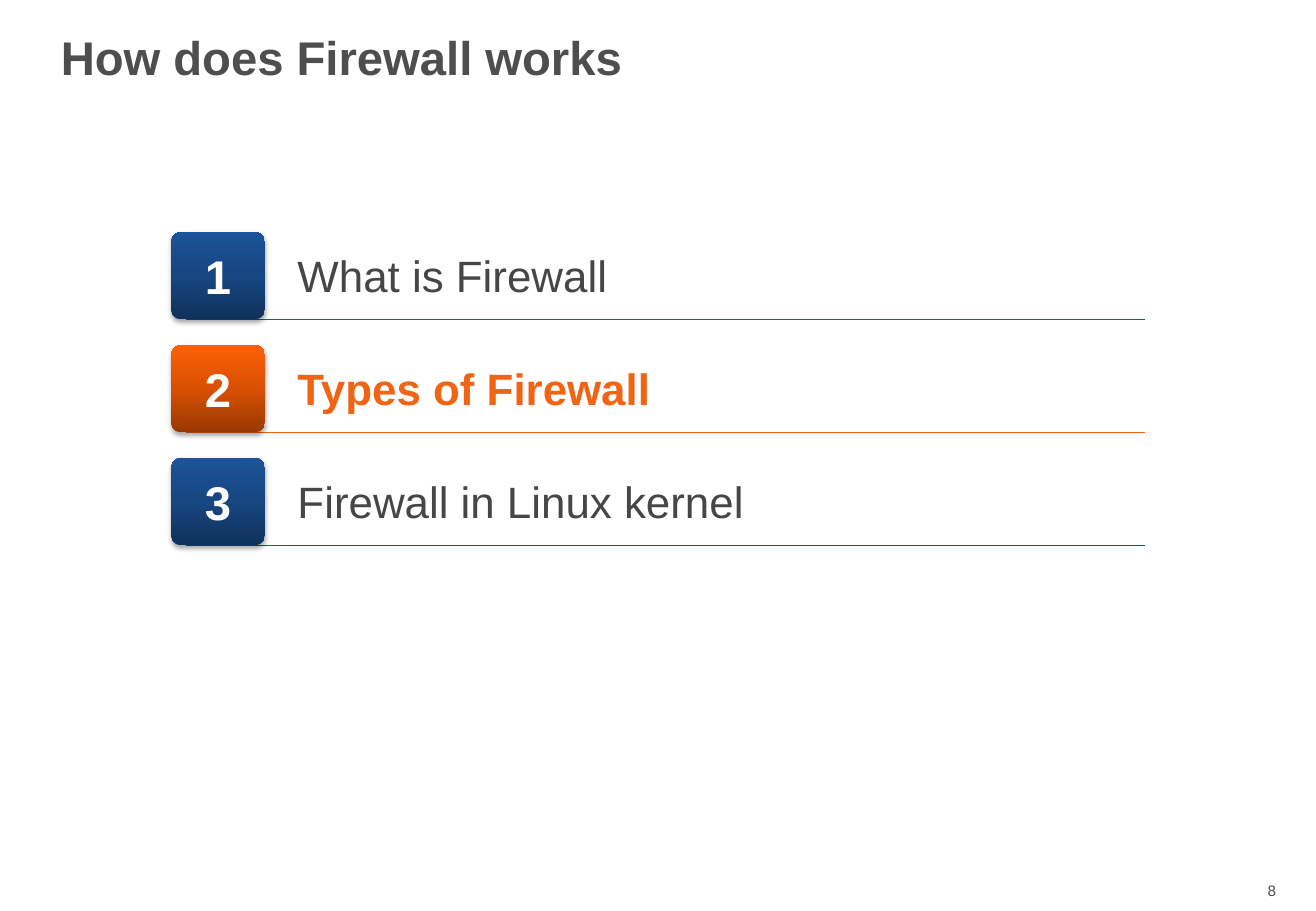
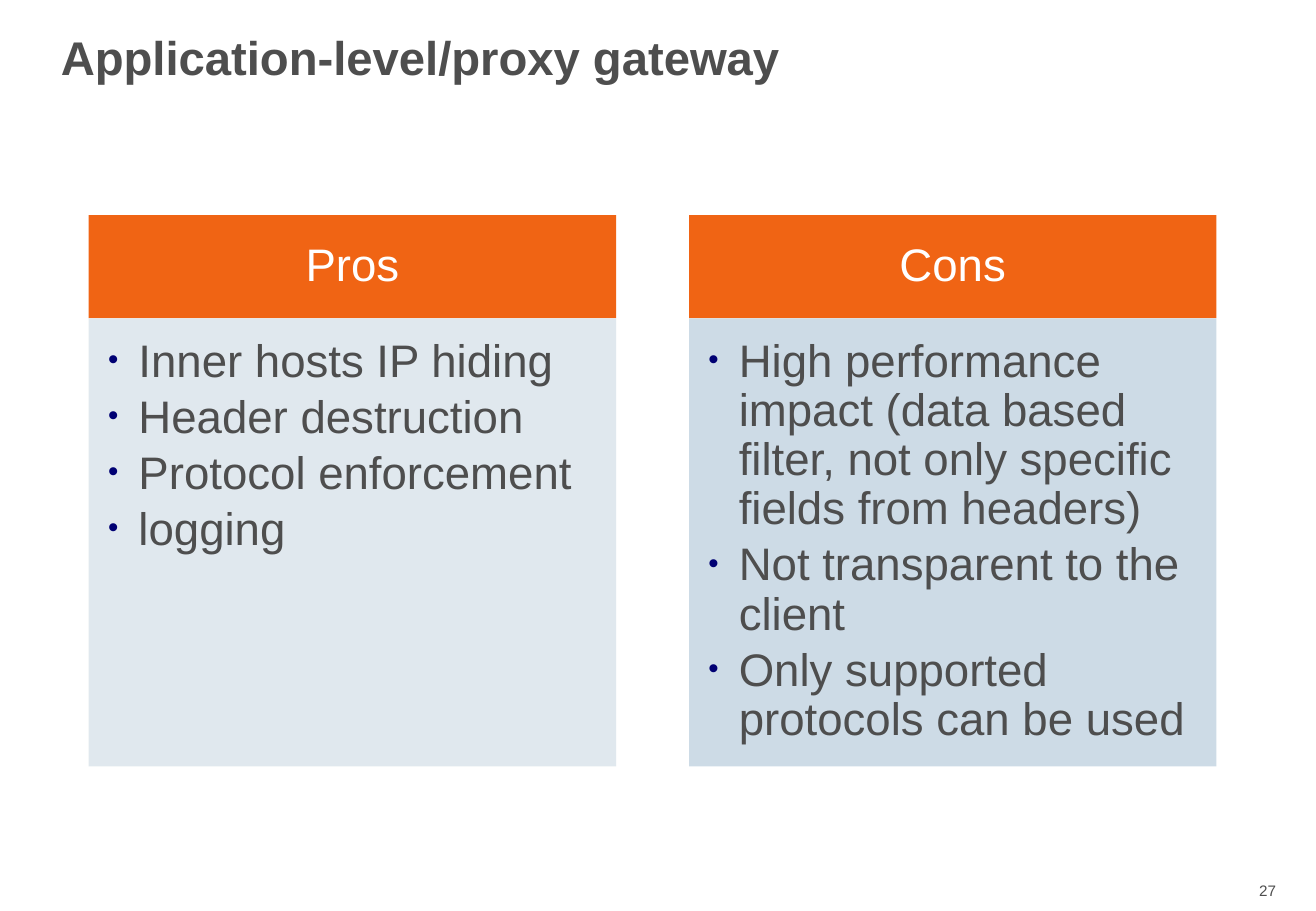
"""Build two firewall slides: an agenda and a comparison of pros and cons."""
from copy import deepcopy

from lxml import etree
from pptx import Presentation
from pptx.dml.color import RGBColor
from pptx.enum.shapes import MSO_CONNECTOR, MSO_SHAPE
from pptx.enum.text import MSO_ANCHOR, MSO_AUTO_SIZE, PP_ALIGN
from pptx.oxml.ns import qn
from pptx.util import Inches, Pt

LEFT, CENTER, RIGHT = PP_ALIGN.LEFT, PP_ALIGN.CENTER, PP_ALIGN.RIGHT
TOP, MIDDLE = MSO_ANCHOR.TOP, MSO_ANCHOR.MIDDLE
NO_AUTOFIT = MSO_AUTO_SIZE.NONE
ROUNDED, STRAIGHT = MSO_SHAPE.ROUNDED_RECTANGLE, MSO_CONNECTOR.STRAIGHT

FONT = "Arial"
COLORS = {
    "text": "4E4E4E",
    "label": "464646",
    "white": "FFFFFF",
    "black": "000000",
    "orange": "F06414",
    "blue": "245491",
    "bullet": "000073",
    "pros": "DDE6ED",
    "cons": "C8D8E4",
}
BADGE_GRADIENTS = {
    "blue": ("10315B", "174681", "1C5399"),
    "orange": ("983902", "D85003", "FF6005"),
}
TITLE_ONLY, COMPARISON = 5, 4

AGENDA = ("What is Firewall", "Types of Firewall", "Firewall in Linux kernel")
CURRENT = 2
ROW_TOP, ROW_PITCH, BADGE_HEIGHT = 1.91, 0.93, 0.72

PROS = ("Inner hosts IP hiding", "Header destruction", "Protocol enforcement", "logging")
CONS = (
    "High performance impact (data based filter, not only specific fields from headers)",
    "Not transparent to the client",
    "Only supported protocols can be used",
)
CARD_LEFT, CARD_PITCH, CARD_WIDTH = 0.73, 4.94, 4.34
HEAD_TOP, HEAD_HEIGHT, LIST_HEIGHT = 1.77, 0.85, 3.69


def rgb(name):
    """Return the named colour."""
    return RGBColor.from_string(COLORS[name])


def place(shape, left, top, width, height):
    """Set the position and size of a shape in inches."""
    shape.left, shape.top = Inches(left), Inches(top)
    shape.width, shape.height = Inches(width), Inches(height)


def set_frame(shape, anchor, margins=(0.1, 0.05, 0.1, 0.05)):
    """Format a text frame and return it."""
    frame = shape.text_frame
    frame.word_wrap = True
    frame.auto_size = NO_AUTOFIT
    frame.vertical_anchor = anchor
    frame.margin_left, frame.margin_top, frame.margin_right, frame.margin_bottom = map(
        Inches, margins)
    return frame


def write(para, text, size, color, bold=False, align=LEFT, spacing=1.0):
    """Add one formatted run to a paragraph."""
    para.alignment = align
    para.line_spacing = spacing
    para.space_before = Pt(0)
    span = para.add_run()
    span.text = text
    span.font.name = FONT
    span.font.size = Pt(size)
    span.font.bold = bold
    span.font.color.rgb = rgb(color)


def add_bullet(para):
    """Give a paragraph a small coloured bullet with a hanging indent."""
    props = para._p.get_or_add_pPr()
    props.set("marL", str(Inches(0.25)))
    props.set("indent", str(Inches(-0.25)))
    tint = etree.SubElement(props, qn("a:buClr"))
    etree.SubElement(tint, qn("a:srgbClr"), val=COLORS["bullet"])
    etree.SubElement(props, qn("a:buSzPct"), val="65000")
    etree.SubElement(props, qn("a:buFont"), typeface=FONT)
    etree.SubElement(props, qn("a:buChar"), char="•")


def add_text(slide, position, text, size, color, **style):
    """Add a one-line text box."""
    box = slide.shapes.add_textbox(*map(Inches, position))
    write(set_frame(box, TOP).paragraphs[0], text, size, color, **style)


def add_page(deck, layout, title, number):
    """Add a slide with the shared title style and page number."""
    page = deck.slides.add_slide(deck.slide_layouts[layout])
    heading = page.shapes.title
    place(heading, 0.4, 0, 8.12, 1)
    write(set_frame(heading, MIDDLE).paragraphs[0], title, 28, "text", True, spacing=0.85)
    add_text(page, (9.88, 7.21, 0.72, 0.25), number, 9, "text", align=RIGHT)
    return page


def add_rule(slide, left, right, y, color):
    """Add a thin horizontal line."""
    rule = slide.shapes.add_connector(
        STRAIGHT, Inches(left), Inches(y), Inches(right), Inches(y))
    rule.line.color.rgb = rgb(color)
    rule.line.width = Pt(1)
    etree.SubElement(rule._element.spPr, qn("a:effectLst"))


def fill_gradient(shape, colors):
    """Fill a shape from bottom to top with three evenly spaced colours."""
    shape.fill.gradient()
    shape.fill.gradient_angle = 90
    stops = shape._element.spPr.find(".//" + qn("a:gsLst"))
    stops.insert(1, deepcopy(stops[0]))
    for index, (stop, color) in enumerate(zip(shape.fill.gradient_stops, colors)):
        stop.position = index / 2
        stop.color.rgb = RGBColor.from_string(color)


def add_drop_shadow(shape):
    """Give a shape a soft shadow below it."""
    shape.shadow.inherit = False
    effects = shape._element.spPr.find(qn("a:effectLst"))
    shadow = etree.SubElement(
        effects, qn("a:outerShdw"), blurRad=str(Pt(3.1)), dist=str(Pt(1.8)),
        dir="5400000", rotWithShape="0")
    tint = etree.SubElement(shadow, qn("a:srgbClr"), val=COLORS["black"])
    etree.SubElement(tint, qn("a:alpha"), val="35000")


def add_badge(slide, top, number, color):
    """Add a numbered rounded square."""
    badge = slide.shapes.add_shape(
        ROUNDED, Inches(1.41), Inches(top), Inches(0.77), Inches(BADGE_HEIGHT))
    badge.adjustments[0] = 0.11
    fill_gradient(badge, BADGE_GRADIENTS[color])
    badge.line.fill.background()
    add_drop_shadow(badge)
    frame = set_frame(badge, MIDDLE, (0.2, 0.1, 0.2, 0.1))
    write(frame.paragraphs[0], str(number), 28, "white", True, CENTER)


def add_agenda_row(slide, number, text):
    """Add one agenda row, highlighted when it is the current one."""
    current = number == CURRENT
    color = "orange" if current else "blue"
    top = ROW_TOP + (number - 1) * ROW_PITCH
    add_rule(slide, 1.53, 9.42, top + BADGE_HEIGHT, color)
    add_badge(slide, top, number, color)
    add_text(slide, (2.35, top + 0.09, 7.14, 0.54), text, 26,
             "orange" if current else "label", bold=current)


def fill_card(head, body, column, title, items, color):
    """Turn a heading and a body placeholder into a filled card."""
    left = CARD_LEFT + column * CARD_PITCH
    place(head, left, HEAD_TOP, CARD_WIDTH, HEAD_HEIGHT)
    head.fill.solid()
    head.fill.fore_color.rgb = rgb("orange")
    frame = set_frame(head, MIDDLE, (0.21, 0.12, 0.21, 0.12))
    write(frame.paragraphs[0], title, 27, "white", align=CENTER, spacing=0.9)

    place(body, left, HEAD_TOP + HEAD_HEIGHT, CARD_WIDTH, LIST_HEIGHT)
    body.fill.solid()
    body.fill.fore_color.rgb = rgb(color)
    tint = body._element.spPr.find(qn("a:solidFill"))[0]
    etree.SubElement(tint, qn("a:alpha"), val="90000")
    frame = set_frame(body, TOP, (0.16, 0.16, 0.21, 0.24))
    for index, item in enumerate(items):
        para = frame.add_paragraph() if index else frame.paragraphs[0]
        add_bullet(para)
        write(para, item, 27, "text", spacing=0.9)
        para.space_after = Pt(4)


def main():
    """Build and save the deck."""
    deck = Presentation()
    deck.slide_width, deck.slide_height = Inches(10.83), Inches(7.5)

    agenda = add_page(deck, TITLE_ONLY, "How does Firewall works", "8")
    for number, text in enumerate(AGENDA, 1):
        add_agenda_row(agenda, number, text)

    gateway = add_page(deck, COMPARISON, "Application-level/proxy gateway", "27")
    slots = list(gateway.placeholders)
    fill_card(slots[1], slots[2], 0, "Pros", PROS, "pros")
    fill_card(slots[3], slots[4], 1, "Cons", CONS, "cons")

    deck.save("out.pptx")


if __name__ == "__main__":
    main()
